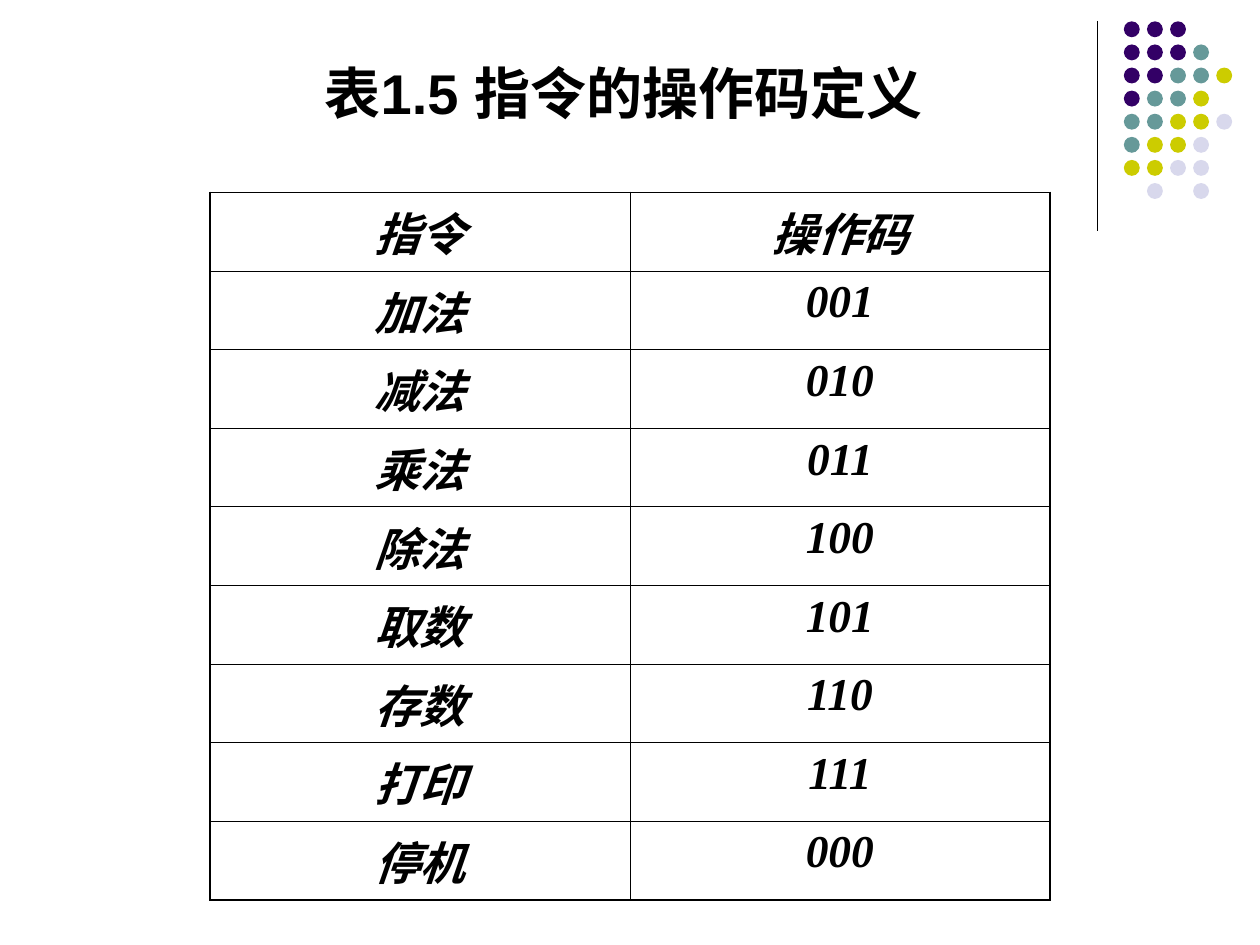
from lxml import etree
from pptx import Presentation
from pptx.dml.color import RGBColor
from pptx.enum.shapes import MSO_CONNECTOR, MSO_SHAPE
from pptx.enum.text import MSO_ANCHOR, MSO_AUTO_SIZE, PP_ALIGN
from pptx.oxml.ns import qn
from pptx.util import Pt

STRAIGHT = MSO_CONNECTOR.STRAIGHT
OVAL = MSO_SHAPE.OVAL
TOP = MSO_ANCHOR.TOP
NO_AUTOFIT = MSO_AUTO_SIZE.NONE
CENTER = PP_ALIGN.CENTER

BLACK = RGBColor(0x00, 0x00, 0x00)
PURPLE = RGBColor(0x33, 0x00, 0x66)
TEAL = RGBColor(0x66, 0x99, 0x99)
OLIVE = RGBColor(0xCC, 0xCC, 0x00)
LAVENDER = RGBColor(0xD8, 0xD8, 0xEC)

DOT_COLORS = {"P": PURPLE, "T": TEAL, "O": OLIVE, "L": LAVENDER}
DOT_ROWS = ["PPP", "PPPT", "PPTTO", "PTTO", "TTOOL", "TOOL", "OOLL", ".L.L"]
DOT_PITCH = 13.2
DOT_SIZE = 9.1

OPCODES = [
    ("指令", "操作码"),
    ("加法", "001"),
    ("减法", "010"),
    ("乘法", "011"),
    ("除法", "100"),
    ("取数", "101"),
    ("存数", "110"),
    ("打印", "111"),
    ("停机", "000"),
]
ROW_HEIGHT = 43.2
OUTER_WIDTH = 1.08
INNER_WIDTH = 0.45


def write_text(text_frame, text, font="Arial", size=32, bold=True, italic=False, color=BLACK):
    """Fill a text frame with one centred, formatted paragraph."""
    text_frame.word_wrap = True
    paragraph = text_frame.paragraphs[0]
    paragraph.alignment = CENTER
    run = paragraph.add_run()
    run.text = text
    run.font.name = font
    run.font.size = Pt(size)
    run.font.bold = bold
    run.font.italic = italic
    run.font.color.rgb = color


def add_title(slide, text):
    """Place the title placeholder and write its text."""
    title = slide.shapes.title
    title.left, title.top, title.width, title.height = Pt(36), Pt(30), Pt(648), Pt(66)
    title.text_frame.auto_size = NO_AUTOFIT
    title.text_frame.vertical_anchor = TOP
    write_text(title.text_frame, text)


def add_rule(slide, x, top, bottom):
    """Draw the thin vertical rule beside the dots."""
    rule = slide.shapes.add_connector(STRAIGHT, Pt(x), Pt(top), Pt(x), Pt(bottom))
    rule.line.color.rgb = BLACK
    rule.line.width = Pt(0.75)
    etree.SubElement(rule._element.spPr, qn("a:effectLst"))


def add_dots(slide, left, top):
    """Draw the grouped grid of coloured dots."""
    group = slide.shapes.add_group_shape()
    for row, codes in enumerate(DOT_ROWS):
        for column, code in enumerate(codes):
            if code not in DOT_COLORS:
                continue
            x, y = left + column * DOT_PITCH, top + row * DOT_PITCH
            dot = group.shapes.add_shape(OVAL, Pt(x), Pt(y), Pt(DOT_SIZE), Pt(DOT_SIZE))
            dot.shadow.inherit = False
            dot.fill.solid()
            dot.fill.fore_color.rgb = DOT_COLORS[code]
            dot.line.fill.background()


def set_borders(cell, widths):
    """Give a cell black borders from a mapping of side to width."""
    properties = cell._tc.get_or_add_tcPr()
    for side, width in widths.items():
        line = etree.SubElement(properties, qn(f"a:ln{side}"), w=str(Pt(width)))
        fill = etree.SubElement(line, qn("a:solidFill"))
        etree.SubElement(fill, qn("a:srgbClr"), val=str(BLACK))


def add_opcode_table(slide, left, top, width):
    """Build the opcode table with a heavier outer frame."""
    row_count, column_count = len(OPCODES), len(OPCODES[0])
    frame = slide.shapes.add_table(
        row_count, column_count, Pt(left), Pt(top), Pt(width), Pt(ROW_HEIGHT * row_count)
    )
    table = frame.table
    table.first_row = False
    table.horz_banding = False
    for row, values in enumerate(OPCODES):
        for column, value in enumerate(values):
            cell = table.cell(row, column)
            outer_sides = {
                "L": column == 0,
                "R": column == column_count - 1,
                "T": row == 0,
                "B": row == row_count - 1,
            }
            set_borders(cell, {
                side: OUTER_WIDTH if is_outer else INNER_WIDTH
                for side, is_outer in outer_sides.items()
            })
            cell.fill.background()
            cell.vertical_anchor = TOP
            write_text(cell.text_frame, value, font="Times New Roman", size=26, italic=True)


def main():
    """Build and save the slide."""
    presentation = Presentation()
    presentation.slide_width, presentation.slide_height = Pt(720), Pt(540)
    slide = presentation.slides.add_slide(presentation.slide_layouts[5])
    add_rule(slide, 627, 12, 132)
    add_dots(slide, 642.2, 12.2)
    add_title(slide, "表1.5 指令的操作码定义 ")
    add_opcode_table(slide, 120, 110, 480)
    presentation.save("out.pptx")


if __name__ == "__main__":
    main()
